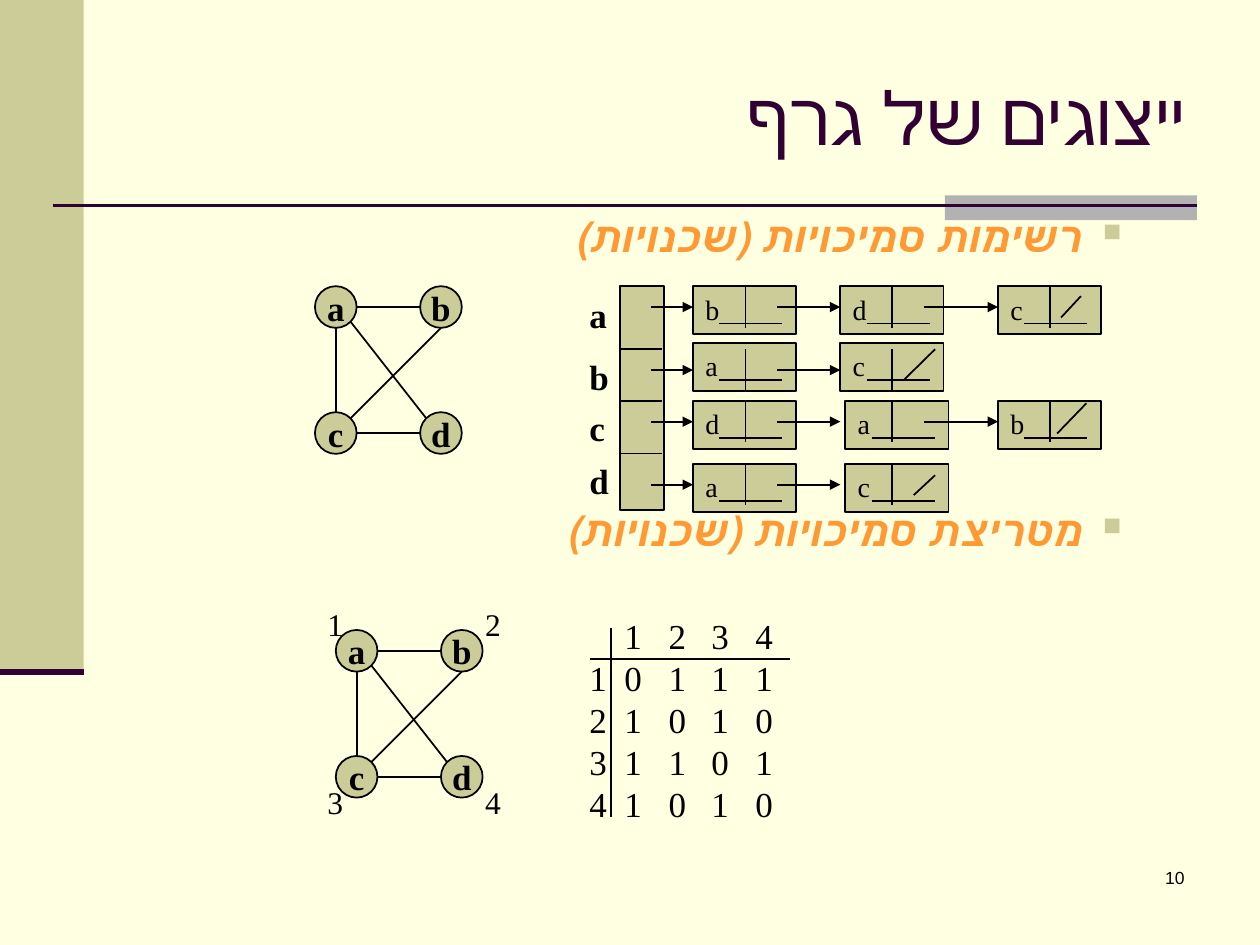
import lxml.etree
import pptx
import pptx.dml.color
import pptx.enum.shapes
import pptx.enum.text
import pptx.oxml
import pptx.oxml.ns
import pptx.util

Cm = pptx.util.Cm
RGB = pptx.dml.color.RGBColor
Kind = pptx.enum.shapes.MSO_SHAPE
Align = pptx.enum.text.PP_ALIGN
Anchor = pptx.enum.text.MSO_ANCHOR
qn = pptx.oxml.ns.qn

CREAM = RGB(0xFF, 0xFF, 0xE1)
OLIVE = RGB(0xCC, 0xCC, 0x99)
GRAY = RGB(0xB2, 0xB2, 0xB2)
PLUM = RGB(0x33, 0x00, 0x33)
AMBER = RGB(0xFF, 0x99, 0x33)
BLACK = RGB(0, 0, 0)
SERIF = "Times New Roman"
NS = 'xmlns:a="http://schemas.openxmlformats.org/drawingml/2006/main"'

deck = pptx.Presentation()
deck.slide_width, deck.slide_height = Cm(25.4), Cm(19.05)
slide = deck.slides.add_slide(deck.slide_layouts[6])
slide.background.fill.solid()
slide.background.fill.fore_color.rgb = CREAM
shapes = slide.shapes


def put(x, y, w, h, text="", size=20, bold=False, color=BLACK, kind=None,
        fill=OLIVE, edge=True, align=Align.LEFT, wrap=False, rtl=False,
        font=SERIF, tabs=(), extra=()):
    """Add a preset shape, or a text box when kind is None, and fill in its lines."""
    place = Cm(x), Cm(y), Cm(w), Cm(h)
    if kind is None:
        shape = shapes.add_textbox(*place)
    else:
        shape = shapes.add_shape(kind, *place)
        shape.shadow.inherit = False
        shape.fill.solid()
        shape.fill.fore_color.rgb = fill
        if edge:
            shape.line.color.rgb = BLACK
            shape.line.width = pptx.util.Pt(1)
        else:
            shape.line.fill.background()
    frame = shape.text_frame
    frame.word_wrap = wrap
    for num, words in enumerate(text.split("\n") if text else []):
        para = frame.add_paragraph() if num else frame.paragraphs[0]
        para.add_run().text = words
        para.alignment = align
        props = para._p.get_or_add_pPr()
        if rtl:
            props.set("rtl", "1")
        for item in extra:
            props.append(pptx.oxml.parse_xml(item))
        if tabs:
            stops = lxml.etree.SubElement(props, qn("a:tabLst"))
            for pos in tabs:
                lxml.etree.SubElement(stops, qn("a:tab"), pos=str(Cm(pos)), algn="l")
        para.font.name = font
        para.font.size = pptx.util.Pt(size)
        para.font.bold = bold
        para.font.color.rgb = color
    return shape


def draw(x1, y1, x2, y2, color=BLACK, width=1, arrow=False):
    line = shapes.add_connector(pptx.enum.shapes.MSO_CONNECTOR.STRAIGHT,
                                Cm(x1), Cm(y1), Cm(x2), Cm(y2))
    line.line.color.rgb = color
    line.line.width = pptx.util.Pt(width)
    if arrow:
        lxml.etree.SubElement(line.line._get_or_add_ln(), qn("a:tailEnd"),
                              type="triangle", w="med", len="med")
    lxml.etree.SubElement(line._element.spPr, qn("a:effectLst"))


# Frame of the slide
put(0, 0, 1.69, 13.55, kind=Kind.RECTANGLE, edge=False)
put(19.05, 3.94, 5.08, 0.5, kind=Kind.RECTANGLE, fill=GRAY, edge=False)
draw(1.06, 4.14, 24.13, 4.14, PLUM, 1.5)
draw(0, 13.55, 1.69, 13.55, PLUM, 3.5)
put(18.85, 17.35, 5.28, 1.27, "10", 10, font="Arial", align=Align.RIGHT, wrap=True)
title = put(2.54, 0.76, 21.59, 3.18, "ייצוגים של גרף", 42, color=PLUM,
            align=Align.RIGHT, wrap=True, rtl=True)
title.text_frame.vertical_anchor = Anchor.MIDDLE

# Headings
bullet = (
    f'<a:buClr {NS}><a:srgbClr val="{OLIVE}"/></a:buClr>',
    f'<a:buSzPct {NS} val="60000"/>',
    f'<a:buChar {NS} char="■"/>',
)
for top, words in ((4.11, "רשימות סמיכויות (שכנויות)"), (10.04, "מטריצת סמיכויות (שכנויות)")):
    head = put(8.89, top, 15.24, 1.2, words, 24, True, AMBER, align=Align.RIGHT,
               wrap=True, rtl=True, extra=bullet)
    para = head.text_frame.paragraphs[0]
    para.font.italic = True
    para._p.pPr.set("marL", str(Cm(2.06)))
    para._p.pPr.set("indent", str(-Cm(0.79)))

# The same graph beside each form
SIZE, MID, NEAR, FAR = 0.84, 0.42, 0.12, 0.72
DX, DY = 2.12, 2.54
for left, top in ((6.35, 5.77), (6.77, 12.7)):
    for num, name in enumerate("abcd"):
        node = put(left + num % 2 * DX, top + num // 2 * DY, SIZE, SIZE, name,
                   bold=True, kind=Kind.OVAL, align=Align.CENTER)
        node.text_frame.vertical_anchor = Anchor.MIDDLE
    for x1, y1, x2, y2 in (
        (SIZE, MID, DX, MID),
        (SIZE, DY + MID, DX, DY + MID),
        (MID, SIZE, MID, DY),
        (DX + MID, SIZE, FAR, DY + NEAR),
        (FAR, FAR, DX + NEAR, DY + NEAR),
    ):
        draw(left + x1, top + y1, left + x2, top + y2)
for num in range(4):
    put(6.35 + num % 2 * 3.18, 12.07 + num // 2 * 3.6, 0.84, 1.02, str(num + 1), 18)

# Adjacency lists: name, label top, box top, bar top, box lefts, neighbours
put(12.5, 5.77, 0.89, 4.52, kind=Kind.RECTANGLE)
rows = (
    ("a", 5.79, 5.77, 5.77, (13.97, 16.94, 20.12), "bdc"),
    ("b", 7.04, 6.91, 7.04, (13.97, 16.94), "ac"),
    ("c", 8.08, 8.08, 8.08, (13.97, 17.04, 20.12), "dab"),
    ("d", 9.14, 9.35, 9.35, (13.97, 17.04), "ac"),
)
tails, tips, bars = (13.13, 15.67, 18.63), (13.97, 16.94, 20.12), (15.03, 17.99, 21.17)
for name, label, top, bar, lefts, near in rows:
    put(11.63, label, 0.89, 1.09, name, bold=True)
    if name != "a":
        draw(12.5, label, 13.34, label)
    for left, other, mid in zip(lefts, near, bars):
        cell = put(left, top, 2.08, 0.97, other, 16, kind=Kind.RECTANGLE, wrap=True)
        cell.text_frame.vertical_anchor = Anchor.TOP
        draw(left + 0.53, top + 0.75, left + 1.8, top + 0.75)
        draw(mid, bar, mid, bar + 0.84)
    for tail, tip, _ in zip(tails, tips, near):
        draw(tail, bar + 0.42, tip, bar + 0.42, arrow=True)
for x1, y1, x2, y2 in (
    (21.79, 5.97, 21.39, 6.4),
    (18.85, 7.04, 18.21, 7.67),
    (21.9, 8.13, 21.31, 8.74),
    (18.85, 9.58, 18.42, 9.98),
):
    draw(x1, y1, x2, y2)

# Adjacency matrix
grid = ("0111", "1010", "1101", "1010")
lines = ["\t1\t2\t3\t4"]
lines += ["\t".join((str(num), *bits)) for num, bits in enumerate(grid, 1)]
put(11.63, 12.27, 4.22, 4.5, "\n".join(lines), wrap=True, tabs=(0.71, 1.6, 2.46, 3.35))
draw(11.89, 13.28, 15.93, 13.28)
draw(12.32, 12.65, 12.32, 16.46)

deck.save("out.pptx")
